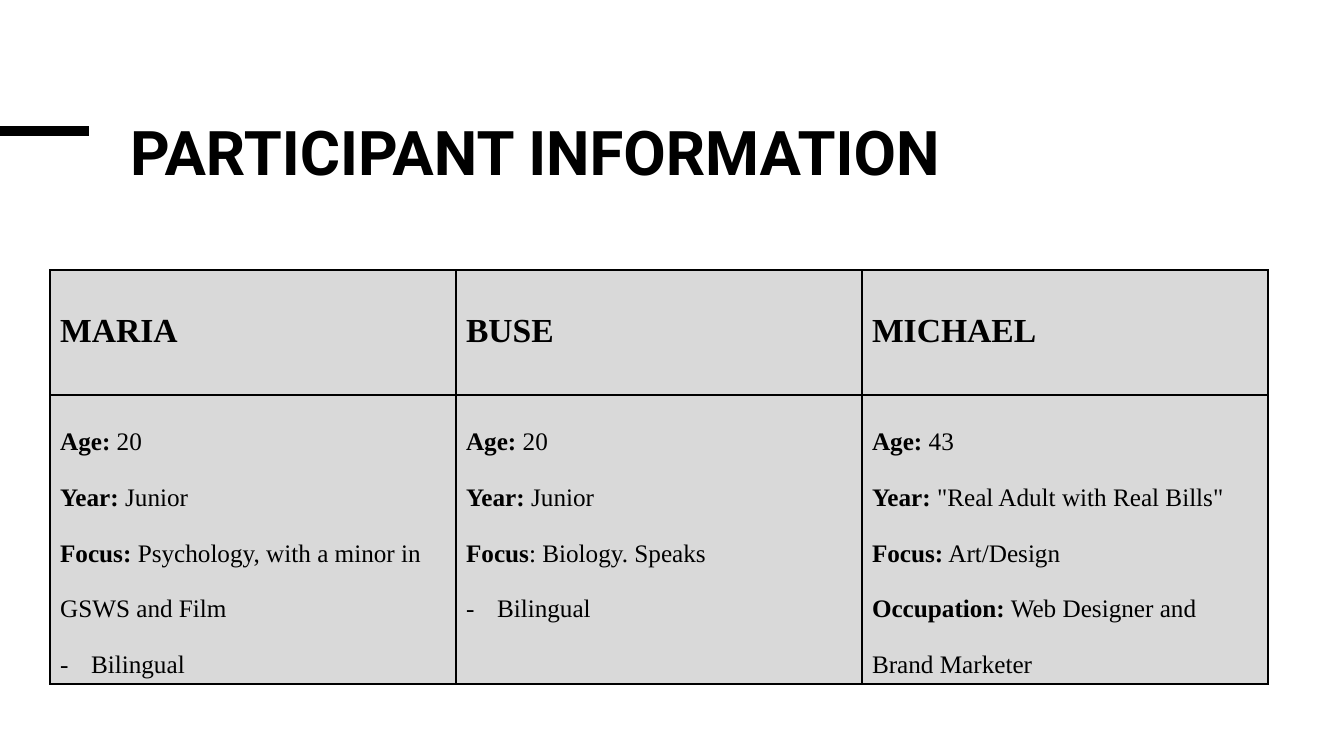
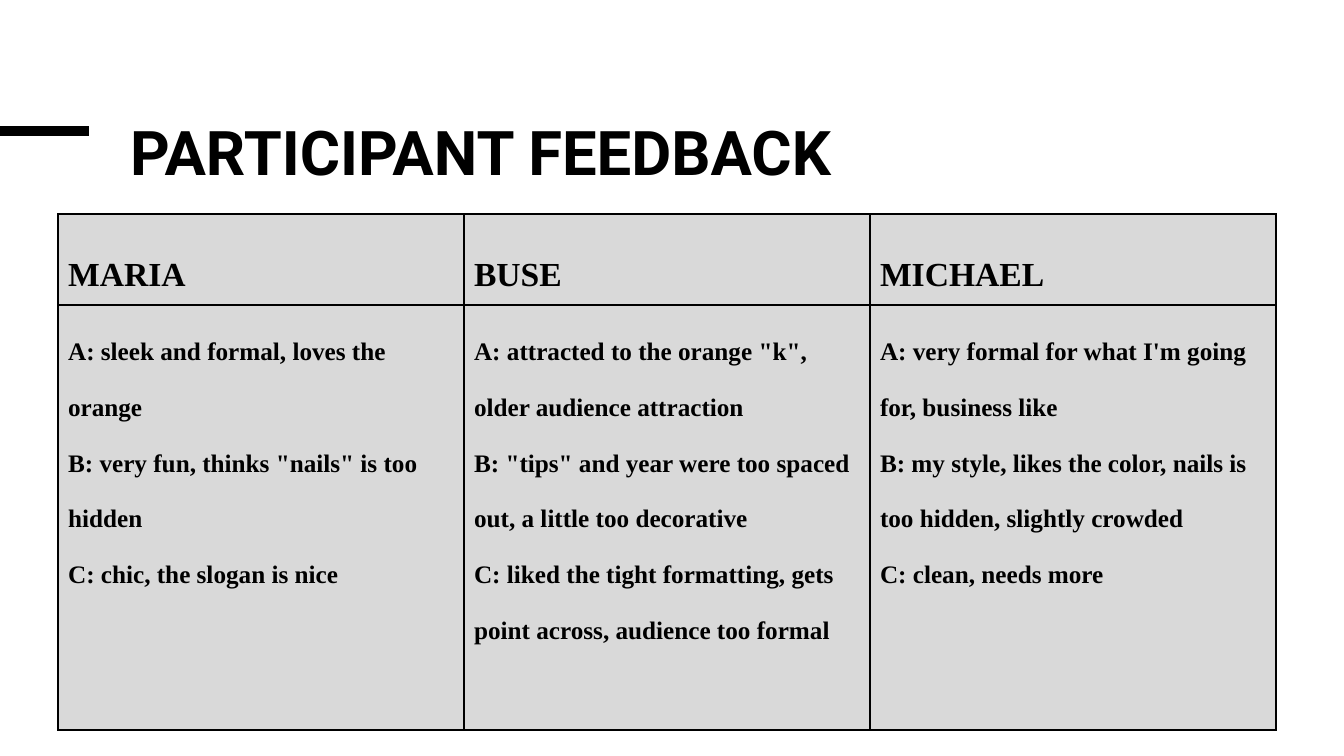
from lxml import etree
from pptx import Presentation
from pptx.dml.color import RGBColor
from pptx.enum.shapes import MSO_CONNECTOR
from pptx.enum.text import MSO_ANCHOR, MSO_AUTO_SIZE, PP_ALIGN
from pptx.oxml.ns import qn
from pptx.util import Pt

STRAIGHT = MSO_CONNECTOR.STRAIGHT
TOP = MSO_ANCHOR.TOP
LEFT = PP_ALIGN.LEFT
NO_AUTOFIT = MSO_AUTO_SIZE.NONE

SLIDE_WIDTH, SLIDE_HEIGHT = 1344, 756
EMU_PER_PIXEL = 12192000 / SLIDE_WIDTH
BLACK, GRAY = "000000", "D9D9D9"
TITLE_FONT, TABLE_FONT = "Roboto", "Times New Roman"
COLUMN_WIDTH = 406
BULLET_INDENT = 31
NAMES = ["MARIA", "BUSE", "MICHAEL"]

SLIDES = [
    {
        "title": "PARTICIPANT INFORMATION",
        "corner": (50, 270),
        "heights": (125, 289),
        "entries": [
            [("Age:", " 20"), ("Year:", " Junior"),
             ("Focus:", " Psychology, with a minor in GSWS and Film"), ("", "Bilingual")],
            [("Age:", " 20"), ("Year:", " Junior"),
             ("Focus", ": Biology. Speaks"), ("", "Bilingual")],
            [("Age:", " 43"), ("Year:", ' "Real Adult with Real Bills"'),
             ("Focus:", " Art/Design"),
             ("Occupation:", " Web Designer and Brand Marketer")],
        ],
    },
    {
        "title": "PARTICIPANT FEEDBACK",
        "corner": (58, 214),
        "heights": (91, 425),
        "entries": [
            [("A: sleek and formal, loves the orange", ""),
             ('B: very fun, thinks "nails" is too hidden', ""),
             ("C: chic, the slogan is nice", "")],
            [('A: attracted to the orange "k", older audience attraction', ""),
             ('B: "tips" and year were too spaced out, a little too decorative', ""),
             ("C: liked the tight formatting, gets point across, audience too formal", "")],
            [("A: very formal for what I'm going for, business like", ""),
             ("B: my style, likes the color, nails is too hidden, slightly crowded", ""),
             ("C: clean, needs more", "")],
        ],
    },
]


def px(pixels):
    return round(pixels * EMU_PER_PIXEL)


def color(hex_string):
    return RGBColor.from_string(hex_string)


prs = Presentation()
prs.slide_width, prs.slide_height = px(SLIDE_WIDTH), px(SLIDE_HEIGHT)
title_only = prs.slide_layouts[5]

for content in SLIDES:
    slide = prs.slides.add_slide(title_only)

    accent = slide.shapes.add_connector(STRAIGHT, 0, px(131), px(89), px(131))
    accent.line.color.rgb = color(BLACK)
    accent.line.width = Pt(6.75)
    etree.SubElement(accent.element.spPr, qn("a:effectLst"))

    title = slide.shapes.title
    title.left, title.top, title.width, title.height = px(120), px(120), px(1094), px(143)
    title.text_frame.text = content["title"]
    title.text_frame.vertical_anchor = TOP
    title.text_frame.auto_size = NO_AUTOFIT
    heading = title.text_frame.paragraphs[0]
    heading.alignment = LEFT
    heading.line_spacing = 0.85
    heading_font = heading.runs[0].font
    heading_font.name = TITLE_FONT
    heading_font.size = Pt(44)
    heading_font.bold = True
    heading_font.color.rgb = color(BLACK)

    left, top = content["corner"]
    participants = slide.shapes.add_table(
        2, len(NAMES), px(left), px(top),
        px(COLUMN_WIDTH * len(NAMES)), px(sum(content["heights"]))).table
    participants.first_row = participants.horz_banding = False
    for column in participants.columns:
        column.width = px(COLUMN_WIDTH)

    name_cells = [[(name, "")] for name in NAMES]
    rows = zip((name_cells, content["entries"]), content["heights"], (24, 18))
    for row_index, (cells, height, size) in enumerate(rows):
        participants.rows[row_index].height = px(height)
        for column_index, entries in enumerate(cells):
            cell = participants.cell(row_index, column_index)
            cell.vertical_anchor = TOP
            cell.fill.solid()
            cell.fill.fore_color.rgb = color(GRAY)

            properties = cell._tc.get_or_add_tcPr()
            for position, side in enumerate(("lnL", "lnR", "lnT", "lnB")):
                border = etree.Element(qn(f"a:{side}"), w=str(Pt(1)))
                border_fill = etree.SubElement(border, qn("a:solidFill"))
                etree.SubElement(border_fill, qn("a:srgbClr"), val=BLACK)
                properties.insert(position, border)

            for entry_index, (label, detail) in enumerate(entries):
                frame = cell.text_frame
                paragraph = frame.add_paragraph() if entry_index else frame.paragraphs[0]
                paragraph.line_spacing = 2.0
                if not label:
                    bulleted = paragraph._p.get_or_add_pPr()
                    bulleted.set("marL", str(px(BULLET_INDENT)))
                    bulleted.set("indent", str(-px(BULLET_INDENT)))
                    etree.SubElement(bulleted, qn("a:buFont"), typeface=TABLE_FONT)
                    etree.SubElement(bulleted, qn("a:buChar"), char="-")
                for words, bold in ((label, True), (detail, False)):
                    if words:
                        run = paragraph.add_run()
                        run.text = words
                        run.font.name = TABLE_FONT
                        run.font.size = Pt(size)
                        run.font.bold = bold
                        run.font.color.rgb = color(BLACK)

prs.save("out.pptx")
